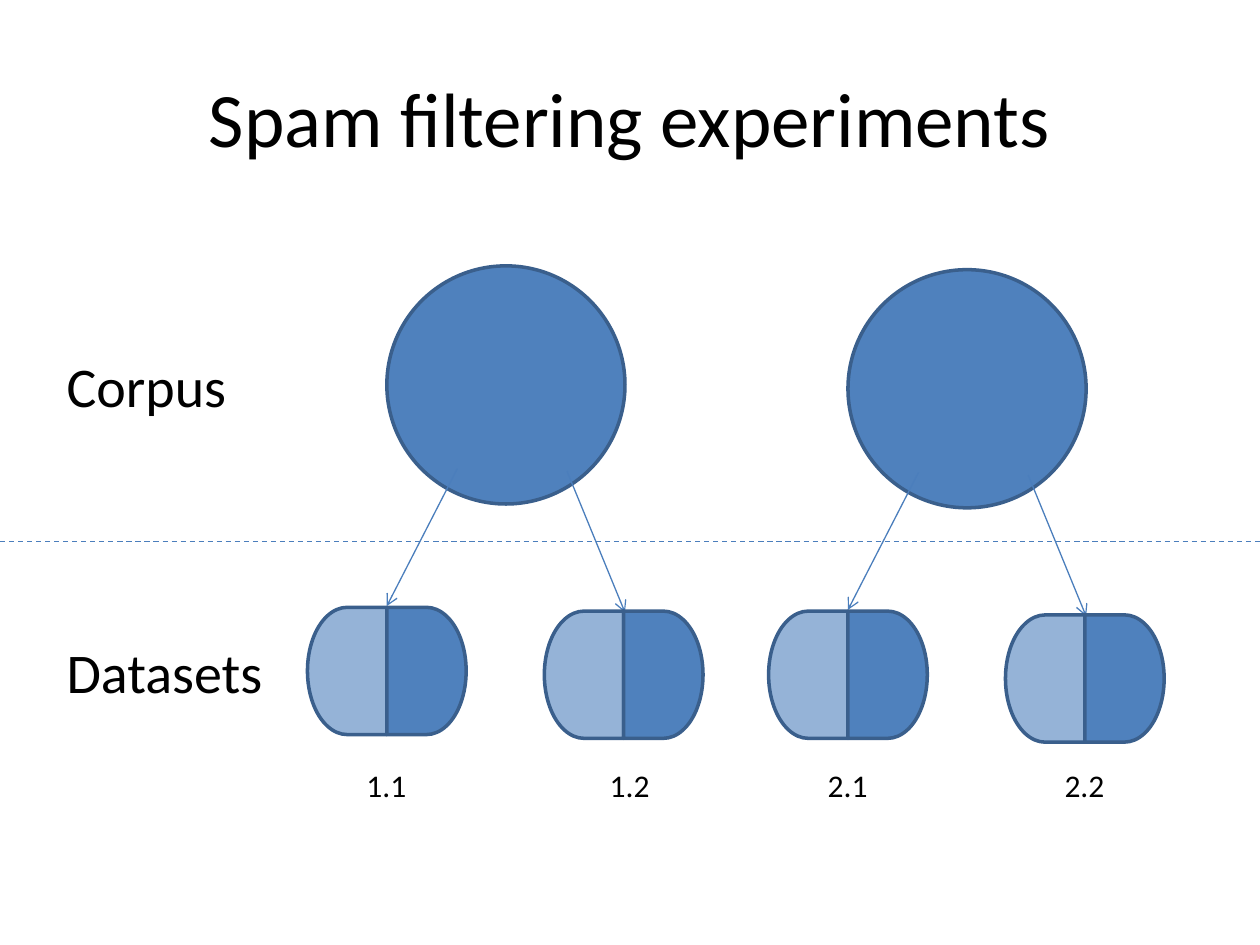
import pptx
import pptx.util
import pptx.dml.color
import pptx.enum.dml
import pptx.enum.shapes
import pptx.enum.text
import pptx.oxml.ns
import lxml.etree

Inches = pptx.util.Inches
SHAPES = pptx.enum.shapes.MSO_SHAPE
BLUE, PALE, OUTLINE, ARROW = "4F81BD", "95B3D7", "3A5F8C", "4B7EBC"
CIRCLE = 1.89
HALF_WIDTH, HALF_HEIGHT = 0.63, 1.01


def color(hex_value):
    """Return the RGB colour for a hex string."""
    return pptx.dml.color.RGBColor.from_string(hex_value)


def write(frame, text, size=18, align=None, font="Calibri", ink="000000"):
    """Put formatted text into a text frame."""
    paragraph = frame.paragraphs[0]
    paragraph.alignment = align
    run = paragraph.add_run()
    run.text = text
    run.font.size = pptx.util.Pt(size)
    run.font.name = font
    run.font.color.rgb = color(ink)


def add_title(slide, text):
    """Fill and place the title placeholder."""
    title = slide.shapes.title
    title.left, title.top = Inches(0.5), Inches(0.3)
    title.width, title.height = Inches(9), Inches(1.25)
    title.text_frame.vertical_anchor = pptx.enum.text.MSO_ANCHOR.MIDDLE
    write(title.text_frame, text, size=44, align=pptx.enum.text.PP_ALIGN.CENTER)


def add_label(slide, text, left, top, width, height, **style):
    """Add an unwrapped label that grows with its text."""
    label = slide.shapes.add_textbox(Inches(left), Inches(top), Inches(width), Inches(height))
    label.text_frame.word_wrap = False
    label.text_frame.auto_size = pptx.enum.text.MSO_AUTO_SIZE.SHAPE_TO_FIT_TEXT
    write(label.text_frame, text, **style)


def add_solid(slide, kind, left, top, width, height, fill=BLUE, rotation=0):
    """Add a filled and outlined preset shape."""
    solid = slide.shapes.add_shape(kind, Inches(left), Inches(top), Inches(width), Inches(height))
    solid.shadow.inherit = False
    solid.fill.solid()
    solid.fill.fore_color.rgb = color(fill)
    solid.line.color.rgb = color(OUTLINE)
    solid.line.width = pptx.util.Pt(2)
    solid.rotation = rotation


def add_line(slide, x1, y1, x2, y2, arrow=False, dashed=False):
    """Add a thin line, with an arrowhead or dashes if wanted."""
    line = slide.shapes.add_connector(
        pptx.enum.shapes.MSO_CONNECTOR.STRAIGHT, Inches(x1), Inches(y1), Inches(x2), Inches(y2))
    line.line.color.rgb = color(ARROW)
    line.line.width = pptx.util.Pt(0.75)
    if dashed:
        line.line.dash_style = pptx.enum.dml.MSO_LINE.DASH
    if arrow:
        lxml.etree.SubElement(line.line._get_or_add_ln(), pptx.oxml.ns.qn("a:tailEnd"), type="arrow")
    lxml.etree.SubElement(line._element.spPr, pptx.oxml.ns.qn("a:effectLst"))


def add_dataset(slide, center, top):
    """Add a dataset made of a pale left half and a blue right half."""
    add_solid(slide, SHAPES.FLOWCHART_DELAY, center - HALF_WIDTH, top,
              HALF_WIDTH, HALF_HEIGHT, fill=PALE, rotation=180)
    add_solid(slide, SHAPES.FLOWCHART_DELAY, center, top, HALF_WIDTH, HALF_HEIGHT)


def add_corpus(slide, left, top):
    """Add a corpus circle with arrows to its two datasets."""
    add_solid(slide, SHAPES.OVAL, left, top, CIRCLE, CIRCLE)
    add_line(slide, left + 0.56, top + 1.61, left, top + 2.7, arrow=True)
    add_line(slide, left + 1.43, top + 1.63, left + CIRCLE, top + 2.75, arrow=True)
    add_dataset(slide, left, top + 2.71)
    add_dataset(slide, left + 1.88, top + 2.74)


def main():
    """Build and save the slide."""
    deck = pptx.Presentation()
    deck.slide_width, deck.slide_height = Inches(10), Inches(7.5)
    slide = deck.slides.add_slide(deck.slide_layouts[5])
    add_title(slide, "Spam filtering experiments")
    add_corpus(slide, 3.07, 2.11)
    add_line(slide, 0, 4.3, 10, 4.3, dashed=True)
    add_corpus(slide, 6.73, 2.14)
    add_label(slide, "Corpus", 0.43, 2.74, 1.48, 0.64, size=32)
    add_label(slide, "Datasets", 0.43, 5.01, 1.77, 0.64, size=32)
    for number, left in (("1.1", 2.81), ("1.2", 4.74), ("2.1", 6.47), ("2.2", 8.35)):
        add_label(slide, number, left, 6.03, 0.52, 0.4)
    deck.save("out.pptx")


if __name__ == "__main__":
    main()
